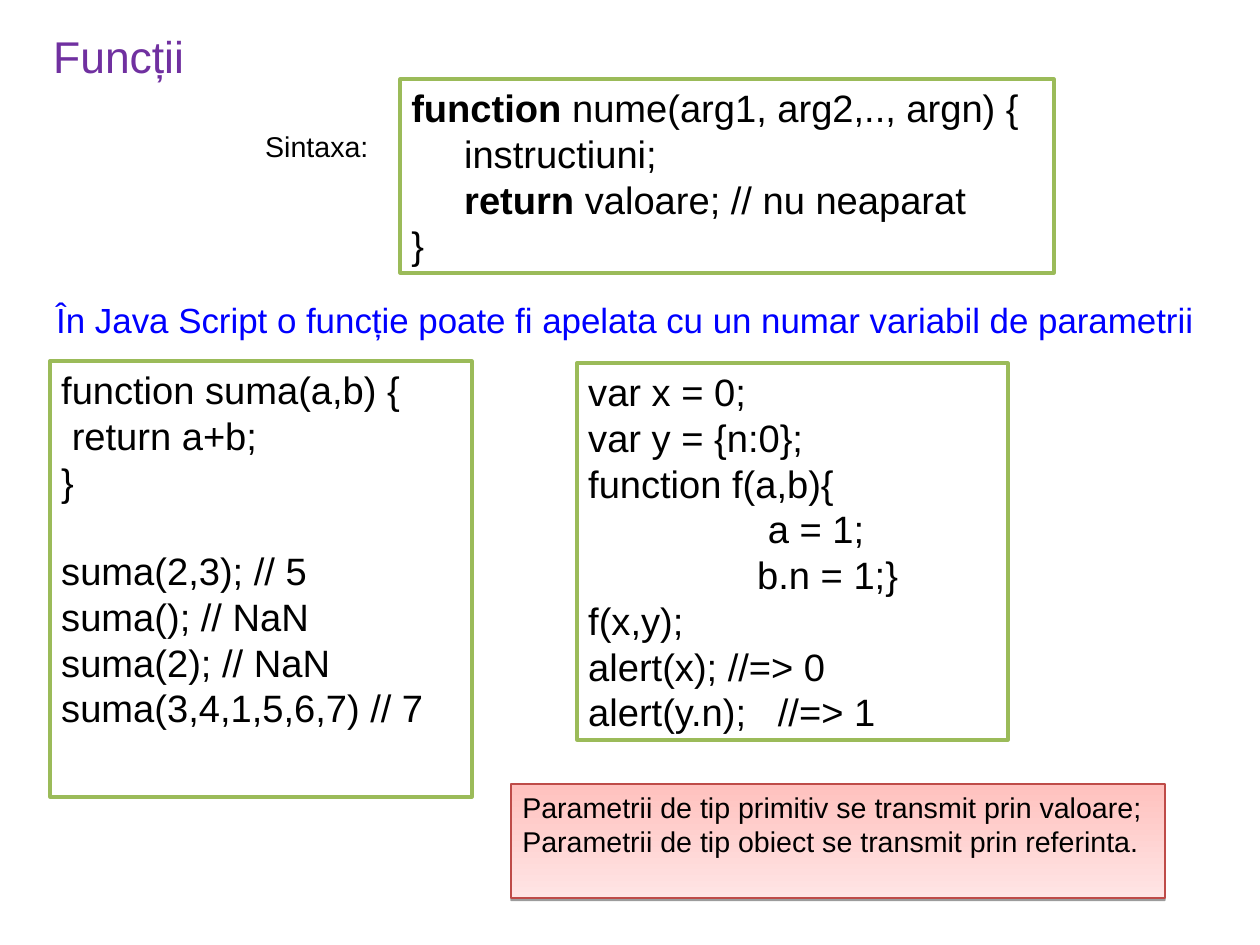
from lxml.etree import SubElement
from pptx import Presentation
from pptx.dml.color import RGBColor
from pptx.enum.shapes import MSO_SHAPE as Preset
from pptx.enum.text import MSO_ANCHOR as Anchor, MSO_AUTO_SIZE as AutoSize, PP_ALIGN as Align
from pptx.oxml.ns import qn
from pptx.util import Emu, Pt

PX = 8000
COLORS = {
    "title": "7030A0", "text": "000000", "statement": "0000FF",
    "paper": "FFFFFF", "code_line": "9BBB59", "note_line": "BE4B48",
    "note_top": "FFC1BE", "note_bottom": "FFE5E5", "shadow": "000000",
}
LINE_HEIGHT = 1.15


def color(name):
    return RGBColor.from_string(COLORS[name])


def write(frame, text, size=24, ink="text", wrap=True):
    """Fill a frame line by line; *stars* mark bold, an empty line becomes space before."""
    frame.word_wrap = wrap
    frame.vertical_anchor = Anchor.TOP
    paragraph, gap = None, 0
    for line in text.split("\n"):
        if not line:
            gap += size * LINE_HEIGHT
            continue
        paragraph = frame.add_paragraph() if paragraph else frame.paragraphs[0]
        paragraph.alignment = Align.LEFT
        if gap:
            paragraph.space_before = Pt(gap)
            gap = 0
        for i, part in enumerate(line.split("*")):
            if part:
                run = paragraph.add_run()
                run.text = part
                run.font.name = "Arial"
                run.font.size = Pt(size)
                run.font.bold = i % 2 == 1
                run.font.color.rgb = color(ink)


class FunctionsSlide:
    def __init__(self, deck):
        self.slide = deck.slides.add_slide(deck.slide_layouts[6])

    def label(self, text, box, **style):
        frame = self.slide.shapes.add_textbox(*(Emu(v * PX) for v in box)).text_frame
        write(frame, text, **style)
        frame.auto_size = AutoSize.SHAPE_TO_FIT_TEXT

    def panel(self, text, box, outline, weight, **style):
        panel = self.slide.shapes.add_shape(Preset.RECTANGLE, *(Emu(v * PX) for v in box))
        panel.shadow.inherit = False
        panel.line.color.rgb = color(outline)
        panel.line.width = Pt(weight)
        write(panel.text_frame, text, **style)
        return panel

    def code(self, text, box):
        panel = self.panel(text, box, "code_line", 2)
        panel.fill.solid()
        panel.fill.fore_color.rgb = color("paper")

    def note(self, text, box):
        panel = self.panel(text, box, "note_line", 0.75, size=18)
        panel.fill.gradient()
        panel.fill.gradient_angle = 270
        for stop, name in zip(panel.fill.gradient_stops, ("note_top", "note_bottom")):
            stop.color.rgb = color(name)
        effects = panel._element.spPr.find(qn("a:effectLst"))
        shadow = SubElement(effects, qn("a:outerShdw"), blurRad="0", dist="20000",
                            dir="5400000", rotWithShape="0")
        tint = SubElement(shadow, qn("a:srgbClr"), val=COLORS["shadow"])
        SubElement(tint, qn("a:alpha"), val="38000")


SYNTAX = """*function* nume(arg1, arg2,.., argn) {
     instructiuni;
     *return* valoare; // nu neaparat
}"""

SUM_EXAMPLE = """function suma(a,b) {
 return a+b;
}

suma(2,3); // 5
suma(); // NaN
suma(2); // NaN
suma(3,4,1,5,6,7) // 7"""

PASSING_EXAMPLE = """var x = 0;
var y = {n:0};
function f(a,b){
                 a = 1;
                b.n = 1;}
f(x,y);
alert(x); //=> 0
alert(y.n);   //=> 1"""

PASSING_RULES = """Parametrii de tip primitiv se transmit prin valoare;
Parametrii de tip obiect se transmit prin referinta."""


def main():
    deck = Presentation()
    deck.slide_width, deck.slide_height = Emu(1260 * PX), Emu(945 * PX)
    page = FunctionsSlide(deck)
    page.label("Funcții", (42, 23, 193, 61), size=28, ink="title")
    page.label("Sintaxa:", (254, 123, 134, 43), size=18, wrap=False)
    page.code(SYNTAX, (400, 79, 654, 194))
    page.label("În Java Script o funcție poate fi apelata cu un numar variabil de parametrii",
               (45, 293, 1164, 50), size=22, ink="statement", wrap=False)
    page.code(SUM_EXAMPLE, (50, 361, 422, 436))
    page.code(PASSING_EXAMPLE, (577, 363, 431, 377))
    page.note(PASSING_RULES, (511, 784, 654, 114))
    deck.save("out.pptx")


if __name__ == "__main__":
    main()
